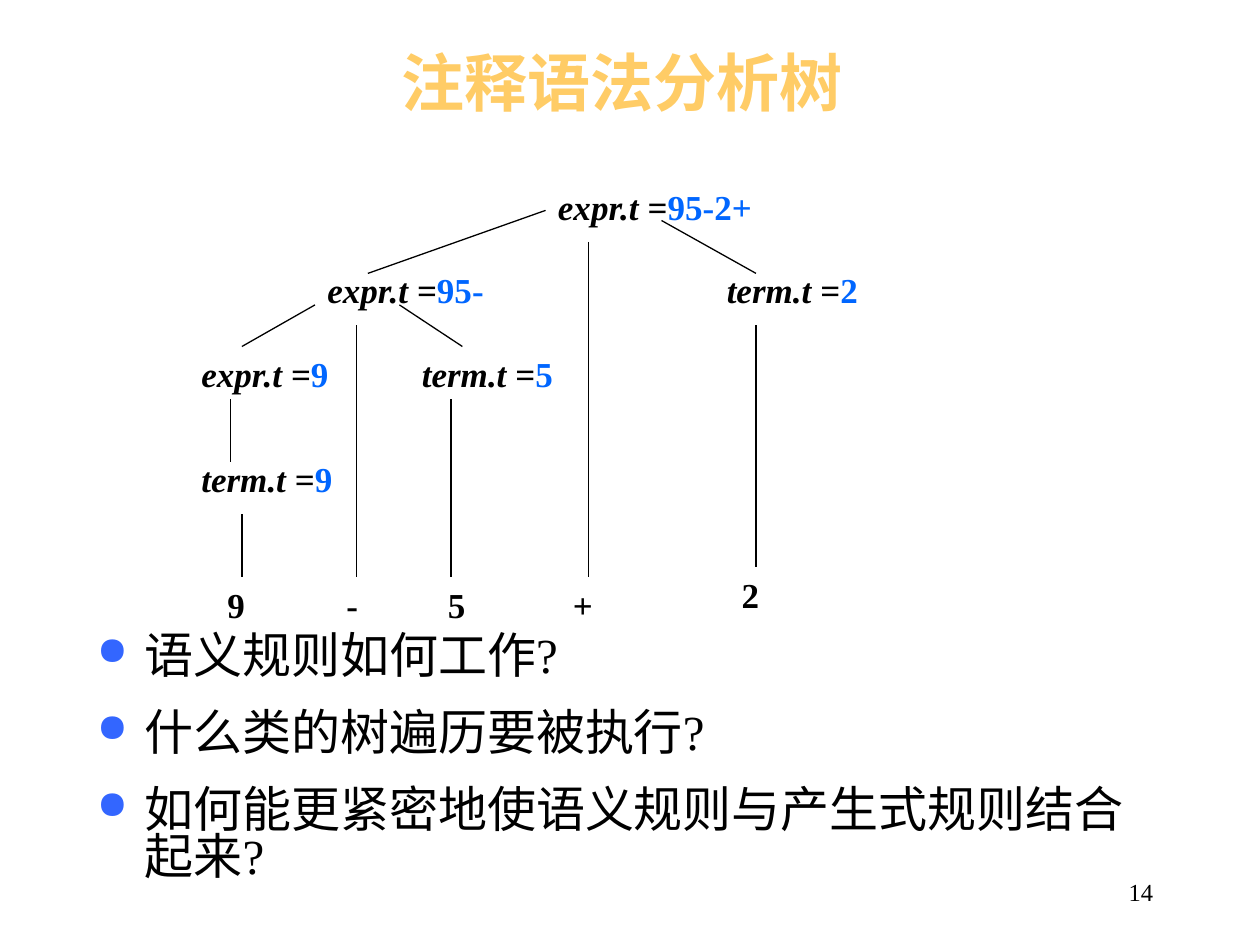
from lxml.etree import SubElement
from pptx import Presentation
from pptx.dml.color import RGBColor
from pptx.enum.shapes import MSO_CONNECTOR
from pptx.enum.text import MSO_ANCHOR, PP_ALIGN
from pptx.oxml.ns import qn
from pptx.util import Inches, Pt

COLORS = {"title": "FFCC66", "ink": "000000", "value": "0066FF", "bullet": "3366FF"}
SERIF = "Times New Roman"

# name, value, left, top, width
NODES = [
    ("expr", "95-2+", 4.33, 1.42, 1.75),
    ("expr", "95-", 2.5, 2.08, 1.5),
    ("term", "2", 5.67, 2.08, 1.5),
    ("expr", "9", 1.5, 2.75, 1.5),
    ("term", "5", 3.25, 2.75, 1.5),
    ("term", "9", 1.5, 3.58, 1.5),
]
# text, left, top
LEAVES = [
    ("9", 1.5, 4.58),
    ("-", 2.42, 4.58),
    ("5", 3.25, 4.58),
    ("+", 4.25, 4.58),
    ("2", 5.58, 4.5),
]
# start x, start y, end x, end y
SLOPES = [
    (4.33, 1.67, 2.92, 2.17),
    (5.25, 1.75, 6, 2.17),
    (2.5, 2.42, 1.92, 2.75),
    (3.17, 2.42, 3.67, 2.75),
]
# x, top, bottom
STEMS = [
    (1.83, 3.17, 3.67),
    (1.92, 4.08, 4.58),
    (2.83, 2.58, 4.58),
    (3.58, 3.17, 4.58),
    (4.67, 1.92, 4.58),
    (6, 2.58, 4.5),
]
POINTS = [
    "语义规则如何工作?",
    "什么类的树遍历要被执行?",
    "如何能更紧密地使语义规则与产生式规则结合起来?",
]


def add_box(slide, left, top, width, height, anchor=MSO_ANCHOR.TOP):
    box = slide.shapes.add_textbox(
        Inches(left), Inches(top), Inches(width), Inches(height))
    frame = box.text_frame
    frame.word_wrap = True
    frame.vertical_anchor = anchor
    return frame


def add_run(para, text, size, color="ink", face=SERIF, bold=False, italic=False):
    run = para.add_run()
    run.text = text
    font = run.font
    font.size, font.name = Pt(size), face
    font.bold, font.italic = bold, italic
    font.color.rgb = RGBColor.from_string(COLORS[color])


def add_title(slide, text):
    para = add_box(slide, 0.75, 0, 8.5, 1.25, MSO_ANCHOR.MIDDLE).paragraphs[0]
    para.alignment = PP_ALIGN.CENTER
    add_run(para, text, 36, "title", "Arial", bold=True)
    add_run(para, " ", 40, "title", "Arial", bold=True)


def add_node(slide, name, value, left, top, width):
    para = add_box(slide, left, top, width, 0.44).paragraphs[0]
    add_run(para, f"{name}.t =", 20, bold=True, italic=True)
    add_run(para, value, 20, "value", bold=True)


def add_leaf(slide, text, left, top):
    para = add_box(slide, left, top, 0.75, 0.44).paragraphs[0]
    para.alignment = PP_ALIGN.CENTER
    add_run(para, text, 20, bold=True)


def add_edge(slide, x1, y1, x2, y2):
    edge = slide.shapes.add_connector(
        MSO_CONNECTOR.STRAIGHT, Inches(x1), Inches(y1), Inches(x2), Inches(y2))
    edge.line.width = Pt(0.75)
    edge.line.color.rgb = RGBColor.from_string(COLORS["ink"])
    SubElement(edge._element.spPr, qn("a:effectLst"))


def add_bullet(para):
    props = para._p.get_or_add_pPr()
    props.set("marL", str(Inches(0.38)))
    props.set("indent", str(-Inches(0.38)))
    tint = SubElement(props, qn("a:buClr"))
    SubElement(tint, qn("a:srgbClr"), val=COLORS["bullet"])
    SubElement(props, qn("a:buSzPct"), val="80000")
    SubElement(props, qn("a:buChar"), char="●")


def add_list(slide, points):
    frame = add_box(slide, 0.67, 5, 8.58, 2.33)
    for i, text in enumerate(points):
        para = frame.add_paragraph() if i else frame.paragraphs[0]
        add_bullet(para)
        para.line_spacing = 0.79
        if i:
            para.space_before = Pt(17.5)
        add_run(para, text, 28)


def add_number(slide, text):
    para = add_box(slide, 7.17, 6.83, 2.08, 0.5, MSO_ANCHOR.MIDDLE).paragraphs[0]
    para.alignment = PP_ALIGN.RIGHT
    add_run(para, text, 14)


def main():
    deck = Presentation()
    deck.slide_width, deck.slide_height = Inches(10), Inches(7.5)
    slide = deck.slides.add_slide(deck.slide_layouts[6])
    add_title(slide, "注释语法分析树")
    for node in NODES:
        add_node(slide, *node)
    for slope in SLOPES:
        add_edge(slide, *slope)
    for x, top, bottom in STEMS:
        add_edge(slide, x, top, x, bottom)
    for leaf in LEAVES:
        add_leaf(slide, *leaf)
    add_list(slide, POINTS)
    add_number(slide, "14")
    deck.save("out.pptx")


if __name__ == "__main__":
    main()
